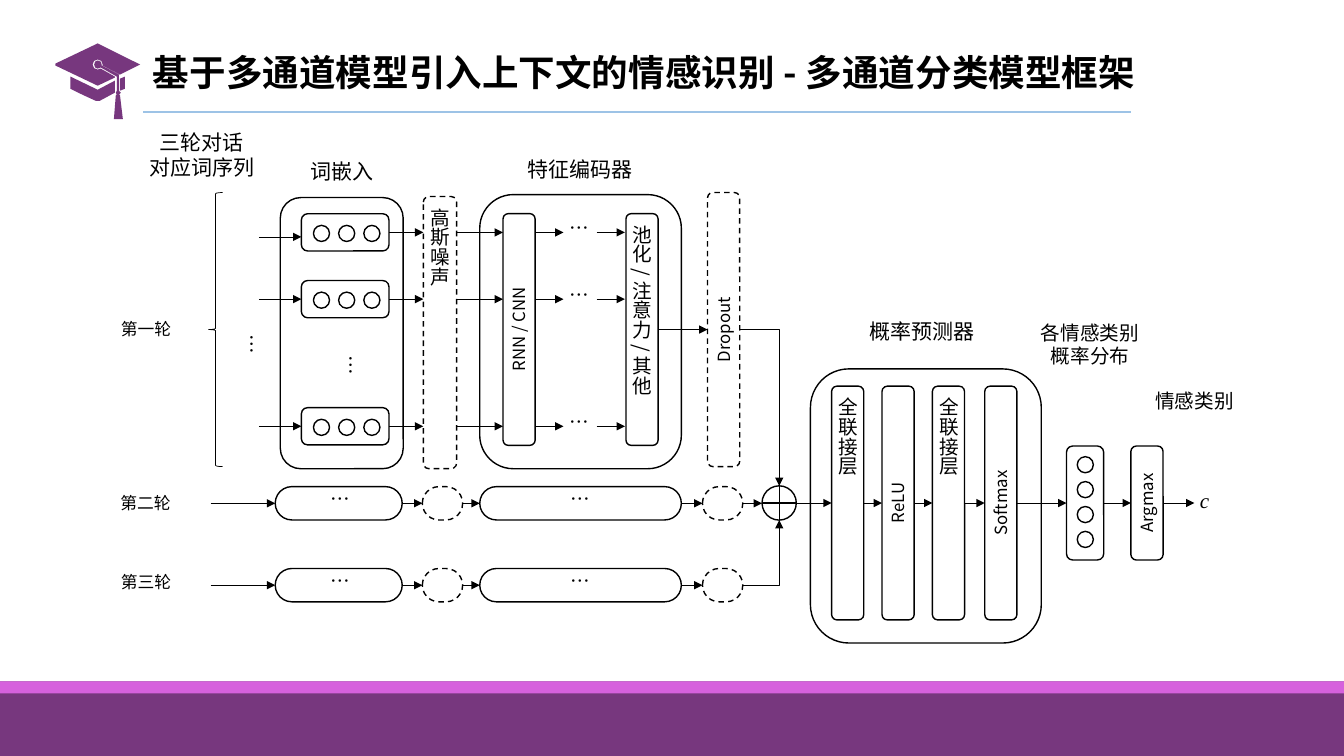
import pptx
import pptx.util
import pptx.dml.color
import pptx.enum.dml
import pptx.enum.shapes
import pptx.enum.text
import pptx.oxml.ns
import lxml.etree

Pt = pptx.util.Pt
RGB = pptx.dml.color.RGBColor
MSO = pptx.enum.shapes.MSO_SHAPE
CXN = pptx.enum.shapes.MSO_CONNECTOR
ALIGN = pptx.enum.text.PP_ALIGN
ANCHOR = pptx.enum.text.MSO_ANCHOR
qn = pptx.oxml.ns.qn

BLACK = RGB(0x00, 0x00, 0x00)
PURPLE = RGB(0x77, 0x37, 0x7E)
PINK = RGB(0xD6, 0x61, 0xDD)
BLUE = RGB(0x9D, 0xC3, 0xE6)
SANS, SERIF = "Noto Sans CJK SC", "Times New Roman"
TOP, LEFT, BOTTOM, RIGHT = range(4)

TITLE = "基于多通道模型引入上下文的情感识别 - 多通道分类模型框架"
LABELS = [
    (["三轮对话", "对应词序列"], 95.8, 88.6, 96.5, 46.8, 15),
    (["词嵌入"], 212.4, 109.4, 64.1, 27.4, 15),
    (["特征编码器"], 346.3, 108, 136.1, 27.4, 15),
    (["概率预测器"], 590.4, 223.9, 136.1, 27.4, 15),
    (["各情感类别", "概率分布"], 710.6, 225.4, 136.1, 43.9, 14),
    (["情感类别"], 810.7, 274.3, 85, 25.9, 14),
    (["第一轮"], 77, 223.9, 54.7, 23, 12),
    (["第二轮"], 76.6, 348.5, 54.7, 23, 12),
    (["第三轮"], 77, 404.6, 54.7, 23, 12),
]
FRAMES = [
    (200.2, 141.1, 87.8, 193.7),
    (342.7, 139, 144, 195.8),
    (578.9, 263.5, 164.9, 195.8),
]
BARS = {
    "noise": ("高斯噪声", 302.4, 140.4, 23.8, 194.4, True),
    "rnn": ("RNN / CNN", 359.3, 152.6, 23, 165.6, False),
    "pool": ("池化 / 注意力 / 其他", 447.1, 152.6, 23, 165.6, False),
    "dropout": ("Dropout", 505.4, 137.5, 23, 195.8, True),
    "dense1": ("全联接层", 594, 275.8, 23, 167, False),
    "relu": ("ReLU", 630, 275.8, 23, 167, False),
    "dense2": ("全联接层", 666, 275.8, 23, 167, False),
    "softmax": ("Softmax", 703.4, 275.8, 23, 167, False),
    "vector": ("", 761.8, 318.6, 26.6, 81.4, False),
    "argmax": ("Argmax", 807.8, 318.6, 23, 81.4, False),
}
PREDICTOR = ["dense1", "relu", "dense2", "softmax", "vector", "argmax"]
WORD_ROWS = [166, 213.7, 304.5]
ROUND_ROWS = [359.5, 418]
ROUND_CELLS = [(196.6, 90.7, False), (301.7, 28.8, True),
               (342.7, 144, False), (501.8, 28.8, True)]
CARD_X, CARD_W, CARD_H = 215.3, 62.6, 26.6
DOT, DOT_STEP = 11.5, 18
SUM_X, SUM_Y, SUM_D = 556.6, 359.3, 24.5
CAP = [
    [(85.7, 64.8), (89.3, 63.4), (89.3, 54.7), (85.7, 56.2)],
    [(50.4, 54.7), (50.4, 63.4), (59, 67.7), (68.4, 72), (71.3, 72),
     (82.1, 66.2), (82.1, 57.6), (69.8, 64.1)],
    [(85, 54), (85, 53.3), (72.7, 46.8), (72.7, 46.1), (71.9, 44), (69.8, 43.2),
     (68, 44), (67.3, 46.1), (68, 48.2), (69.8, 49), (72, 48.2), (83.5, 54.7)],
    [(100.1, 46.1), (69.8, 31), (39.6, 45.4), (39.6, 46.8), (69.8, 61.2),
     (82.1, 55.4), (82.1, 54.7), (72, 49), (69.8, 49.7), (67.2, 48.7),
     (66.2, 46.1), (67.2, 43.5), (69.8, 42.5), (72.4, 43.5), (73.4, 46.1),
     (73.4, 46.8), (85.7, 53.3)],
    [(85, 54), (85, 64.8), (86.4, 66.2), (85, 67.7), (85.7, 67.7), (87.8, 85),
     (81.4, 85), (82.8, 67.7), (83.5, 67.7), (82.8, 66.2), (83.5, 64.8), (83.5, 54.7)],
]

prs = pptx.Presentation()
prs.slide_width, prs.slide_height = Pt(960), Pt(540)
s = prs.slides.add_slide(prs.slide_layouts[6])


def add_run(p, text, size, font=SANS, bold=False, italic=False):
    r = p.add_run()
    r.text = text
    r.font.size, r.font.name = Pt(size), font
    r.font.bold, r.font.italic = bold, italic
    r.font.color.rgb = BLACK
    ea = lxml.etree.SubElement(r.font._element, qn("a:ea"))
    ea.set("typeface", font)


def label(lines, x, y, w, h, size, font=SANS, italic=False, rotation=0):
    sp = s.shapes.add_textbox(Pt(x), Pt(y), Pt(w), Pt(h))
    sp.rotation = rotation
    tf = sp.text_frame
    tf.word_wrap = False
    tf.auto_size = pptx.enum.text.MSO_AUTO_SIZE.SHAPE_TO_FIT_TEXT
    for i, line in enumerate(lines):
        p = tf.add_paragraph() if i else tf.paragraphs[0]
        p.alignment = ALIGN.CENTER
        add_run(p, line, size, font, italic=italic)


def dots(cx, cy, rotation=0):
    label(["…"], cx - 12.95, cy - 12.95, 25.9, 25.9, 14, rotation=rotation)


def outline(kind, x, y, w, h, dashed=False, weight=1):
    sp = s.shapes.add_shape(kind, Pt(x), Pt(y), Pt(w), Pt(h))
    sp.shadow.inherit = False
    sp.fill.background()
    sp.line.color.rgb, sp.line.width = BLACK, Pt(weight)
    if dashed:
        sp.line.dash_style = pptx.enum.dml.MSO_LINE.DASH
    return sp


def solid(sp, color):
    sp.shadow.inherit = False
    sp.fill.solid()
    sp.fill.fore_color.rgb = color
    sp.line.fill.background()


def line(x1, y1, x2, y2, color=BLACK, weight=0.5, head=True, start=None, end=None, bent=False):
    kind = CXN.ELBOW if bent else CXN.STRAIGHT
    cx = s.shapes.add_connector(kind, Pt(x1), Pt(y1), Pt(x2), Pt(y2))
    if bent:
        cx._element.spPr.find(qn("a:prstGeom")).set("prst", "bentConnector2")
    if start is not None:
        cx.begin_connect(start, RIGHT)
    if end is not None:
        cx.end_connect(end, LEFT)
    cx.line.color.rgb, cx.line.width = color, Pt(weight)
    if head:
        tail = lxml.etree.SubElement(cx.line._get_or_add_ln(), qn("a:tailEnd"))
        tail.set("type", "triangle")
    lxml.etree.SubElement(cx._element.spPr, qn("a:effectLst"))


def link(a, b):
    line(0, 0, 0, 0, start=a, end=b)


for frame in FRAMES:
    outline(MSO.ROUNDED_RECTANGLE, *frame)

bars = {}
for name, (text, x, y, w, h, dashed) in BARS.items():
    sp = bars[name] = outline(MSO.ROUNDED_RECTANGLE, x, y, w, h, dashed)
    if text:
        latin = text.isascii()
        tf = sp.text_frame
        tf.vertical_anchor = ANCHOR.MIDDLE
        tf._txBody.bodyPr.set("vert", "vert270" if latin else "eaVert")
        p = tf.paragraphs[0]
        p.alignment = ALIGN.CENTER
        add_run(p, text, 12 if latin else 14)

for i, y in enumerate(WORD_ROWS):
    card = outline(MSO.ROUNDED_RECTANGLE, CARD_X, y - CARD_H / 2, CARD_W, CARD_H)
    for k in range(3):
        outline(MSO.OVAL, CARD_X + 8.6 + k * DOT_STEP, y - 5, DOT, DOT)
    if i:
        line(185, y, CARD_X, y, end=card)
    else:
        line(185, 169.2, CARD_X, 169.2)
    line(CARD_X + CARD_W, y, 302.4, y, start=card)
    for x1, x2 in [(326.2, 359.3), (382.3, 402.5), (426.2, 446.4)]:
        line(x1, y, x2, y)
    dots(412.6, y - 2.5)

for y in ROUND_ROWS:
    cells = []
    for x, w, dashed in ROUND_CELLS:
        sp = outline(MSO.ROUNDED_RECTANGLE, x, y - 11.9, w, 23.8, dashed)
        sp.adjustments[0] = 0.5
        cells.append(sp)
    line(150.5, y, 196.6, y, end=cells[0])
    for a, b in zip(cells, cells[1:]):
        link(a, b)
    for cx in (242, 413.2):
        dots(cx, y - 2.3)
    if y == ROUND_ROWS[0]:
        line(530.6, y, SUM_X - SUM_D / 2, y, start=cells[-1])
    else:
        line(530.6, y, SUM_X, SUM_Y + SUM_D / 2, bent=True)

radius = SUM_D / 2
outline(MSO.OVAL, SUM_X - radius, SUM_Y - radius, SUM_D, SUM_D)
line(SUM_X - radius, SUM_Y, SUM_X + radius, SUM_Y, weight=1, head=False)
line(SUM_X, SUM_Y - radius, SUM_X, SUM_Y + radius, weight=1, head=False)

link(bars["pool"], bars["dropout"])
line(528.4, 235.4, SUM_X, SUM_Y - radius, bent=True)
line(SUM_X + radius, SUM_Y, 594, SUM_Y, end=bars["dense1"])
for a, b in zip(PREDICTOR, PREDICTOR[1:]):
    link(bars[a], bars[b])
line(830.8, SUM_Y, 853.2, SUM_Y, start=bars["argmax"])
for k in range(4):
    outline(MSO.OVAL, 769.5, 326.2 + k * 17.8, DOT, DOT)

outline(MSO.LEFT_BRACE, 149, 137.5, 10, 195.8, weight=0.5)
dots(179.3, 244.8, 90)
dots(249.9, 260, 90)
for item in LABELS:
    label(*item)
label(["c"], 848.9, 344.9, 23, 27.4, 15, SERIF, italic=True)

sp = s.shapes.add_textbox(Pt(102.2), Pt(26.6), Pt(769), Pt(54))
tf = sp.text_frame
tf.word_wrap = True
tf.vertical_anchor = ANCHOR.MIDDLE
tf.paragraphs[0].line_spacing = 0.9
add_run(tf.paragraphs[0], TITLE, 26.1, bold=True)

contours = [[(Pt(x), Pt(y)) for x, y in contour] for contour in CAP]
fb = s.shapes.build_freeform(*contours[0][0])
for i, contour in enumerate(contours):
    if i:
        fb.move_to(*contour[0])
    fb.add_line_segments(contour[1:], close=True)
solid(fb.convert_to_shape(), PURPLE)

line(102.2, 80.3, 807.8, 80.3, BLUE, 1.5, head=False)
for height, color in [(53.3, PURPLE), (8.6, PINK)]:
    solid(s.shapes.add_shape(MSO.RECTANGLE, 0, Pt(486.7), Pt(960), Pt(height)), color)

prs.save("out.pptx")
